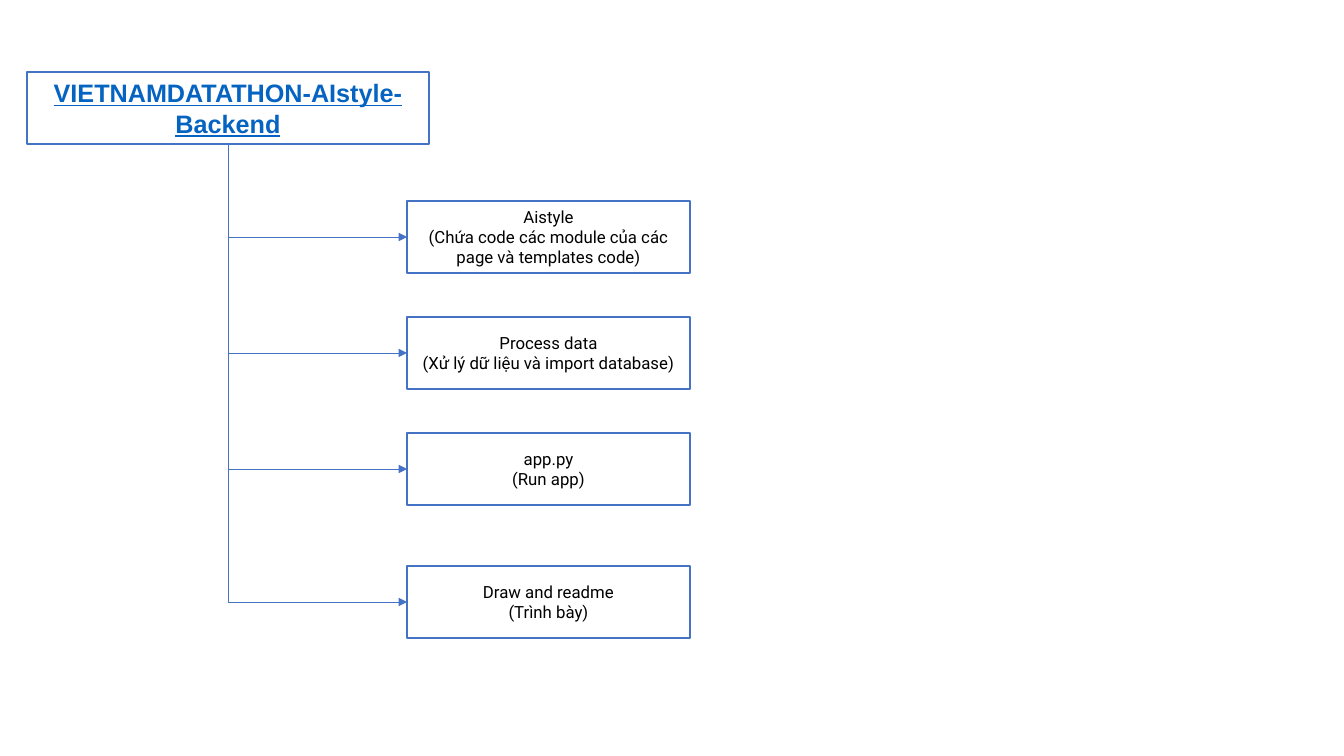
import pptx
import pptx.dml.color
import pptx.enum.shapes
import pptx.enum.text
import pptx.oxml
import pptx.oxml.ns
import pptx.util

RGBColor = pptx.dml.color.RGBColor
BLUE = RGBColor(0x44, 0x72, 0xC4)
LINK_BLUE = RGBColor(0x05, 0x63, 0xC1)
BLACK = RGBColor(0, 0, 0)
WHITE = RGBColor(0xFF, 0xFF, 0xFF)
EMU_PER_PIXEL = 914400 / 100.8

BOX_LEFT, BOX_WIDTH, BOX_HEIGHT = 407, 283, 72
FOLDERS = [
    (201, ["Aistyle", "(Chứa code các module của các page và templates code)"]),
    (317, ["Process data", "(Xử lý dữ liệu và import database)"]),
    (433, ["app.py", "(Run app)"]),
    (566, ["Draw and readme", "(Trình bày)"]),
]


def px(pixels):
    """Turn pixels into EMU."""
    return pptx.util.Emu(round(pixels * EMU_PER_PIXEL))


class TreeSlide:
    """Holds the style and the current slide."""

    def __init__(self, presentation):
        """Add a title-only slide."""
        self.slide = presentation.slides.add_slide(presentation.slide_layouts[5])

    def style_box(self, box, lines, font_name, size, color):
        """Outline a box and fill it with centred lines of text."""
        box.fill.solid()
        box.fill.fore_color.rgb = WHITE
        box.line.color.rgb = BLUE
        box.line.width = pptx.util.Pt(1)
        frame = box.text_frame
        frame.text = "\n".join(lines)
        frame.word_wrap = True
        frame.auto_size = pptx.enum.text.MSO_AUTO_SIZE.NONE
        frame.vertical_anchor = pptx.enum.text.MSO_ANCHOR.MIDDLE
        for paragraph in frame.paragraphs:
            paragraph.alignment = pptx.enum.text.PP_ALIGN.CENTER
            paragraph.font.name = font_name
            paragraph.font.size = pptx.util.Pt(size)
            paragraph.font.color.rgb = color
        return box

    def root(self, text, left, top, width, height):
        """Turn the title into the root box of the tree."""
        title = self.slide.shapes.title
        title.left, title.top = px(left), px(top)
        title.width, title.height = px(width), px(height)
        self.style_box(title, [text], "Arial", 18, LINK_BLUE)
        font = title.text_frame.paragraphs[0].font
        font.bold = font.underline = True
        return title

    def folder(self, lines, top):
        """Add one branch box."""
        box = self.slide.shapes.add_shape(
            pptx.enum.shapes.MSO_SHAPE.RECTANGLE,
            px(BOX_LEFT), px(top), px(BOX_WIDTH), px(BOX_HEIGHT))
        box.shadow.inherit = False
        return self.style_box(box, lines, "Roboto", 12, BLACK)

    def branch(self, root, folder):
        """Draw an arrow down from the root and right to a folder."""
        x, y = root.left + root.width // 2, root.top + root.height
        across = folder.left - x
        down = folder.top + folder.height // 2 - y
        arrow = self.slide.shapes.add_connector(
            pptx.enum.shapes.MSO_CONNECTOR.ELBOW, x, y, x + across, y + down)
        arrow.begin_connect(root, 2)
        arrow.end_connect(folder, 1)
        arrow.line.color.rgb = BLUE
        arrow.line.width = pptx.util.Pt(0.5)
        # A one-bend connector starts sideways, so it is turned and mirrored.
        arrow.left = x + (across - down) // 2
        arrow.top = y + (down - across) // 2
        arrow.width, arrow.height = down, across
        properties = arrow.element.spPr
        qn = pptx.oxml.ns.qn
        transform = properties.find(qn("a:xfrm"))
        transform.set("rot", "16200000")
        transform.set("flipH", "1")
        properties.find(qn("a:prstGeom")).set("prst", "bentConnector2")
        namespace = pptx.oxml.ns.nsdecls("a")
        properties.find(qn("a:ln")).append(
            pptx.oxml.parse_xml(f'<a:tailEnd {namespace} type="triangle"/>'))
        properties.append(pptx.oxml.parse_xml(f"<a:effectLst {namespace}/>"))


def main():
    """Build the folder tree and save it."""
    presentation = pptx.Presentation()
    presentation.slide_width, presentation.slide_height = px(1344), px(756)
    tree = TreeSlide(presentation)
    root = tree.root("VIETNAMDATATHON-AIstyle-Backend", 27, 72, 402, 72)
    for top, lines in FOLDERS:
        tree.branch(root, tree.folder(lines, top))
    presentation.save("out.pptx")


main()
